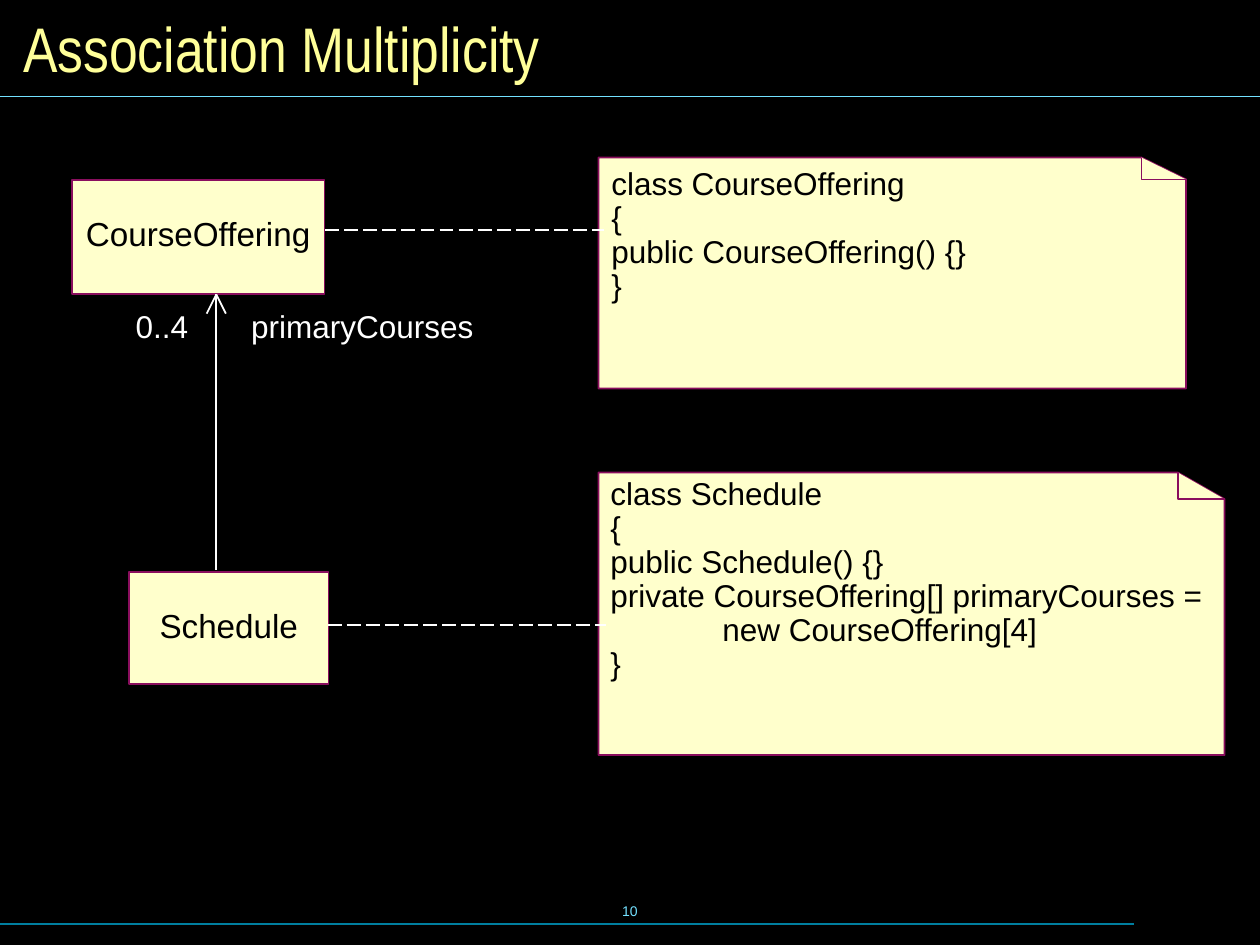
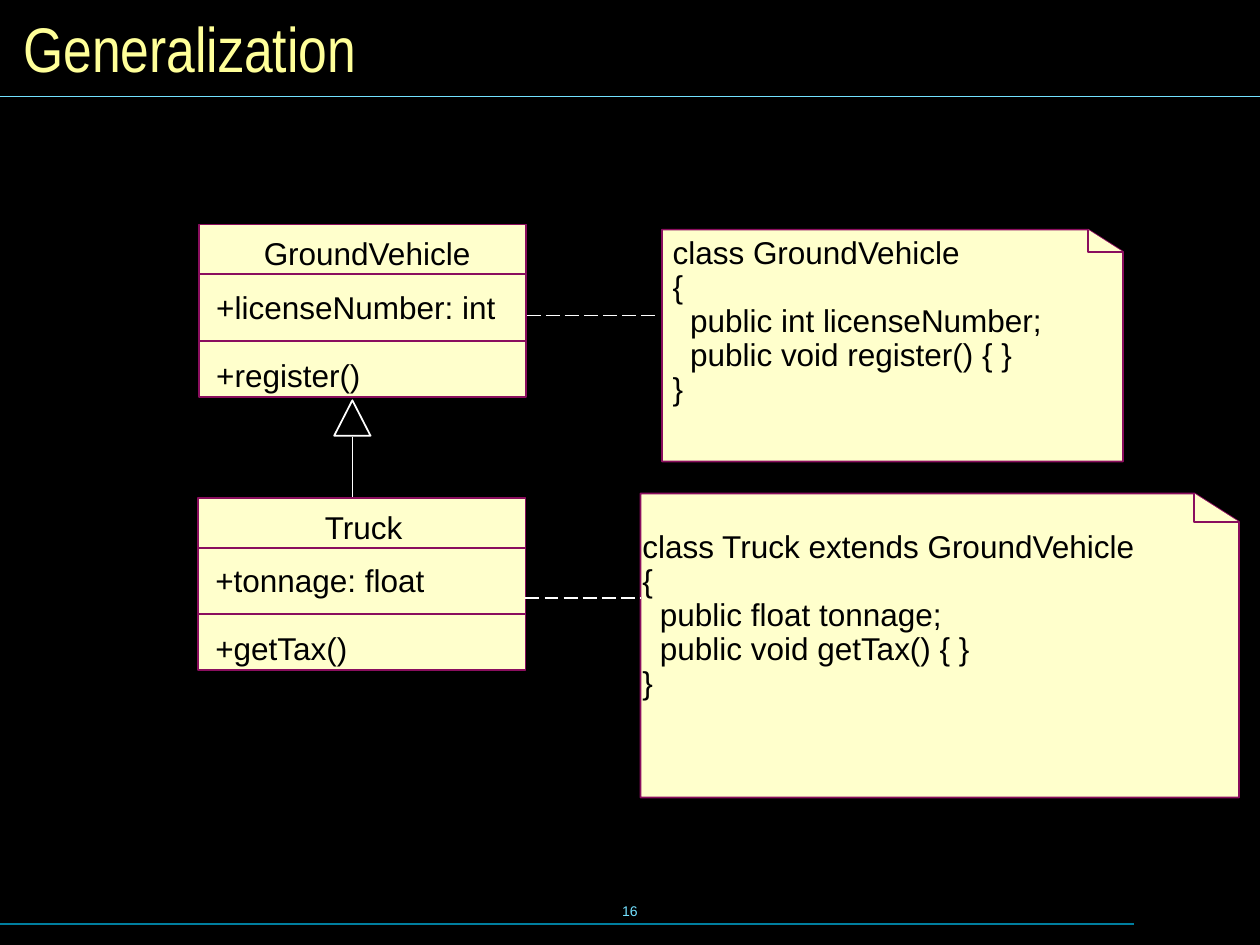
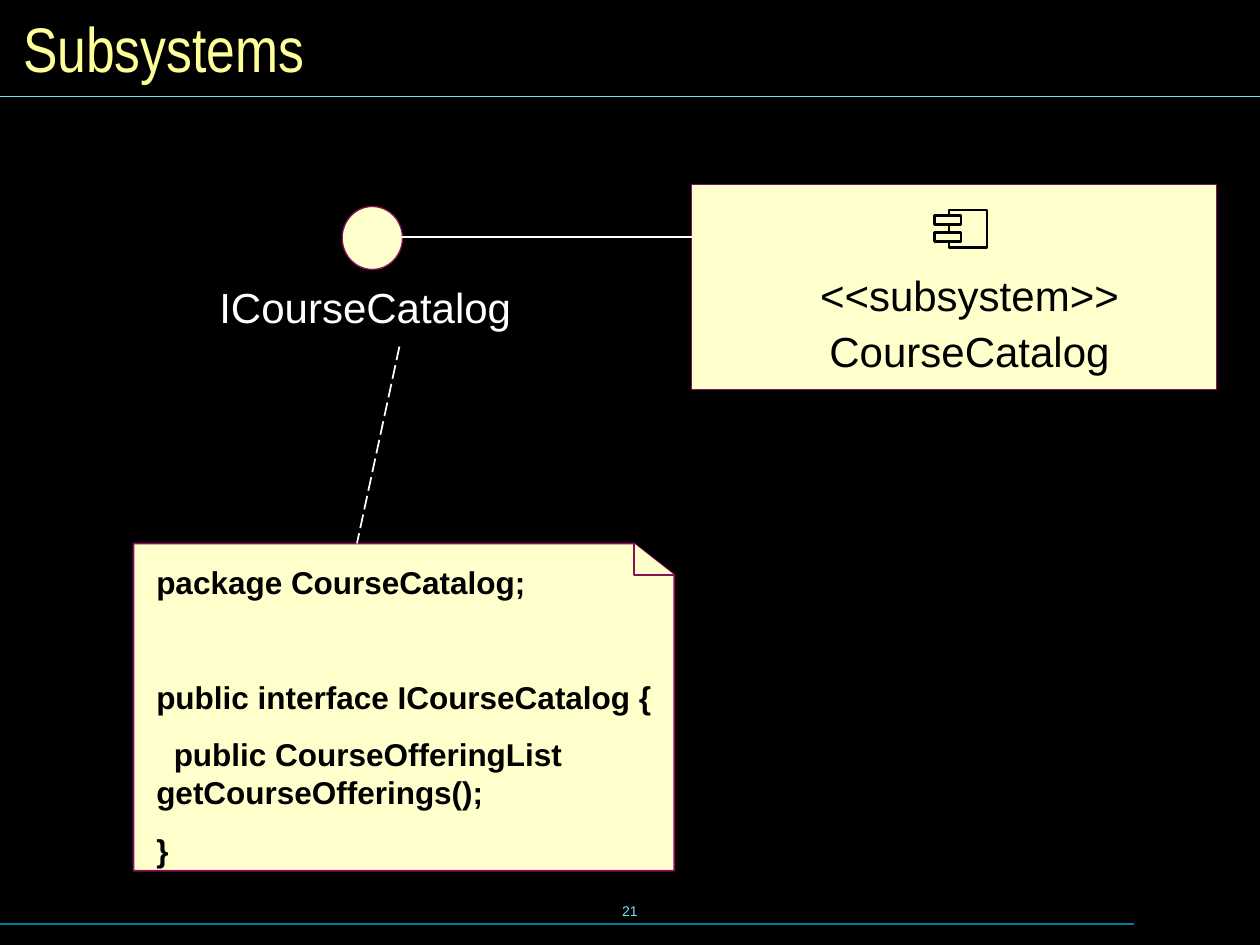
from lxml import etree
from pptx import Presentation
from pptx.dml.color import RGBColor
from pptx.enum import dml, shapes, text
from pptx.oxml import ns
from pptx.util import Pt

BLACK = RGBColor(0x00, 0x00, 0x00)
WHITE = RGBColor(0xFF, 0xFF, 0xFF)
CREAM = RGBColor(0xFF, 0xFF, 0xCC)
PLUM = RGBColor(0x8A, 0x0E, 0x5E)
YELLOW = RGBColor(0xFF, 0xFF, 0x99)
CYAN = RGBColor(0x73, 0xE1, 0xFF)
TEAL = RGBColor(0x00, 0x7E, 0x9F)
BODY_FONT = "Arial"
TITLE_FONT = "Arial Narrow"
CODE_TAB = Pt(64)
LEFT = text.PP_ALIGN.LEFT
CENTER = text.PP_ALIGN.CENTER
MIDDLE = text.MSO_ANCHOR.MIDDLE


def add_run(paragraph, content, size, color, font=BODY_FONT, bold=False):
    run = paragraph.add_run()
    run.text = content
    run.font.name = font
    run.font.size = Pt(size)
    run.font.bold = bold
    run.font.color.rgb = color


def add_tab_stop(paragraph, position):
    properties = paragraph._p.get_or_add_pPr()
    tabs = etree.SubElement(properties, ns.qn("a:tabLst"))
    etree.SubElement(tabs, ns.qn("a:tab"), pos=str(int(position)), algn="l")


def write_lines(frame, lines, size, color, align=LEFT, spacing=0.9, gaps=(), bold=False):
    for index, line in enumerate(lines):
        paragraph = frame.add_paragraph() if index else frame.paragraphs[0]
        if "\t" in line:
            add_tab_stop(paragraph, CODE_TAB)
        paragraph.alignment = align
        paragraph.line_spacing = spacing
        paragraph.space_before = Pt(gaps[index - 1] if index and gaps else 0)
        add_run(paragraph, line, size, color, bold=bold)


def add_text(slide, lines, left, top, width, height, size=18, color=BLACK,
             inset=True, wrap=False, **style):
    box = slide.shapes.add_textbox(Pt(left), Pt(top), Pt(width), Pt(height))
    frame = box.text_frame
    frame.word_wrap = wrap
    if not inset:
        frame.margin_left = frame.margin_right = 0
        frame.margin_top = frame.margin_bottom = 0
    write_lines(frame, lines, size, color, **style)
    return frame


def add_line(slide, x1, y1, x2, y2, color=WHITE, weight=1, dashed=False):
    line = slide.shapes.add_connector(
        shapes.MSO_CONNECTOR.STRAIGHT, Pt(x1), Pt(y1), Pt(x2), Pt(y2))
    line.line.color.rgb = color
    line.line.width = Pt(weight)
    if dashed:
        line.line.dash_style = dml.MSO_LINE.LONG_DASH
    etree.SubElement(line._element.spPr, ns.qn("a:effectLst"))


def style_shape(shape, color=PLUM, weight=1, filled=True):
    shape.shadow.inherit = False
    if filled:
        shape.fill.solid()
        shape.fill.fore_color.rgb = CREAM
    else:
        shape.fill.background()
    shape.line.color.rgb = color
    shape.line.width = Pt(weight)


def add_figure(slide, kind, left, top, width, height, **style):
    shape = slide.shapes.add_shape(kind, Pt(left), Pt(top), Pt(width), Pt(height))
    style_shape(shape, **style)
    return shape


def add_rectangle(slide, *bounds, **style):
    return add_figure(slide, shapes.MSO_SHAPE.RECTANGLE, *bounds, **style)


def add_named_box(slide, name, *bounds):
    frame = add_rectangle(slide, *bounds).text_frame
    frame.word_wrap = False
    frame.vertical_anchor = MIDDLE
    frame.margin_bottom = Pt(4.6)
    write_lines(frame, [name], 19, BLACK, align=CENTER)


def add_outline(slide, points, closed):
    start, *others = [(Pt(x), Pt(y)) for x, y in points]
    builder = slide.shapes.build_freeform(*start)
    builder.add_line_segments(others, close=closed)
    style_shape(builder.convert_to_shape())


def add_note(slide, left, top, right, bottom, fold_width, fold_height):
    fold_left, fold_bottom = right - fold_width, top + fold_height
    add_outline(slide, [(right, bottom), (left, bottom), (left, top),
                        (fold_left, top), (right, fold_bottom)], True)
    add_outline(slide, [(right, fold_bottom), (fold_left, fold_bottom),
                        (fold_left, top)], False)


def add_class(slide, name, members, left, top, name_shift):
    width, height = 187, 98.5
    add_rectangle(slide, left, top, width, height)
    for offset in (28.5, 66.5):
        add_line(slide, left, top + offset, left + width, top + offset, PLUM)
    add_text(slide, [name], left + name_shift, top + 4.6, width, 26, align=CENTER)
    add_text(slide, members, left + 2.7, top + 35.25, 178, 65, gaps=[19.4])


def add_slide(presentation, title, number):
    slide = presentation.slides.add_slide(presentation.slide_layouts[5])
    add_line(slide, 0, 528, 648, 528, TEAL, 0.75)
    add_line(slide, 0, 55, 720, 55, CYAN, 0.75)
    frame = add_text(slide, [number], 246, 502.5, 228, 36, size=8, color=CYAN,
                     align=CENTER, spacing=1.0)
    frame.vertical_anchor = MIDDLE
    heading = slide.shapes.title
    heading.left, heading.top, heading.width, heading.height = Pt(6), Pt(6), Pt(708), Pt(42)
    frame = heading.text_frame
    frame.auto_size = text.MSO_AUTO_SIZE.NONE
    frame.vertical_anchor = MIDDLE
    frame.paragraphs[0].alignment = LEFT
    add_run(frame.paragraphs[0], title, 36, YELLOW, TITLE_FONT)
    return slide


def build_multiplicity(presentation):
    slide = add_slide(presentation, "Association Multiplicity", "10")
    add_named_box(slide, "CourseOffering", 41, 103, 144.5, 65)
    add_named_box(slide, "Schedule", 73.75, 327, 114, 64)
    add_note(slide, 342, 90, 677.75, 222, 25.5, 12.5)
    add_note(slide, 342, 270, 699.75, 431.5, 26.75, 15.25)
    add_text(slide, ["class CourseOffering", "{", "public CourseOffering() {}", "}"],
             342.25, 92.75, 225, 84)
    add_text(slide, ["class Schedule", "{", "public Schedule() {}",
                     "private CourseOffering[] primaryCourses =",
                     "\tnew CourseOffering[4]", "}"], 341.75, 269.75, 360, 123)
    add_line(slide, 185.75, 131.25, 345, 131.25, dashed=True)
    add_line(slide, 187.25, 357.25, 346.25, 357.25, dashed=True)
    arrow_x, arrow_y = 123.6, 168.25
    add_line(slide, arrow_x, arrow_y, arrow_x, 325.5)
    for side in (-5.5, 5.5):
        add_line(slide, arrow_x + side, arrow_y + 11, arrow_x, arrow_y)
    add_text(slide, ["0..4"], 70.5, 174.25, 50, 26, color=WHITE)
    add_text(slide, ["primaryCourses"], 136.5, 174.25, 150, 26, color=WHITE)


def build_generalization(presentation):
    slide = add_slide(presentation, "Generalization", "16")
    add_class(slide, "GroundVehicle", ["+licenseNumber: int", "+register()"],
              113.75, 128.25, 2.5)
    add_class(slide, "Truck", ["+tonnage: float", "+getTax()"], 113.25, 284.5, 1)
    add_note(slide, 366, 282, 708, 455.75, 25.5, 16.25)
    add_note(slide, 378.25, 131.25, 641.75, 263.75, 20, 12.75)
    add_text(slide, ["class Truck extends GroundVehicle", "{", "  public float tonnage;",
                     "  public void getTax() { }", "}"], 360, 300.25, 305, 104)
    add_text(slide, ["class GroundVehicle", "{", "  public int licenseNumber;",
                     "  public void register() { }", "}"], 377.25, 132, 235, 104)
    add_line(slide, 301, 180.25, 377.25, 180.25, dashed=True)
    add_line(slide, 300.25, 341.75, 366, 341.75, dashed=True)
    add_figure(slide, shapes.MSO_SHAPE.ISOSCELES_TRIANGLE, 191, 228.75, 20.75, 20.25,
               color=WHITE, filled=False)
    add_line(slide, 201.4, 249.5, 201.4, 284)


def build_subsystems(presentation):
    slide = add_slide(presentation, "Subsystems", "21")
    add_note(slide, 76.25, 310.5, 385.25, 497.5, 23, 18)
    add_rectangle(slide, 395.25, 105.5, 299.75, 117, weight=0)
    add_figure(slide, shapes.MSO_SHAPE.OVAL, 195.5, 118, 34.5, 36, weight=0)
    add_text(slide, ["package CourseCatalog;", "public interface ICourseCatalog {",
                     "  public CourseOfferingList getCourseOfferings();", "}"],
             82.25, 318.25, 388, 182, wrap=True, spacing=1.0, gaps=[44, 11.2, 11.2], bold=True)
    add_line(slide, 228.25, 198, 204, 310.5, dashed=True)
    name_width = 180
    for name, center, top, color in (("CourseCatalog", 554, 185.75, BLACK),
                                     ("<<subsystem>>", 554, 154, BLACK),
                                     ("ICourseCatalog", 208.75, 161, WHITE)):
        add_text(slide, [name], center - name_width / 2, top, name_width, 29, size=24,
                 color=color, inset=False, align=CENTER, spacing=1.0)
    add_line(slide, 229.75, 135.5, 395.25, 135.5)
    add_rectangle(slide, 542.25, 120, 21.75, 21.5, color=BLACK, weight=1.5)
    for top in (133, 123.25):
        add_rectangle(slide, 534, top, 15.25, 5, color=BLACK, weight=1.5)


def main():
    presentation = Presentation()
    presentation.slide_width, presentation.slide_height = Pt(720), Pt(540)
    background = presentation.slide_master.background.fill
    background.solid()
    background.fore_color.rgb = BLACK
    build_multiplicity(presentation)
    build_generalization(presentation)
    build_subsystems(presentation)
    presentation.save("out.pptx")


if __name__ == "__main__":
    main()
